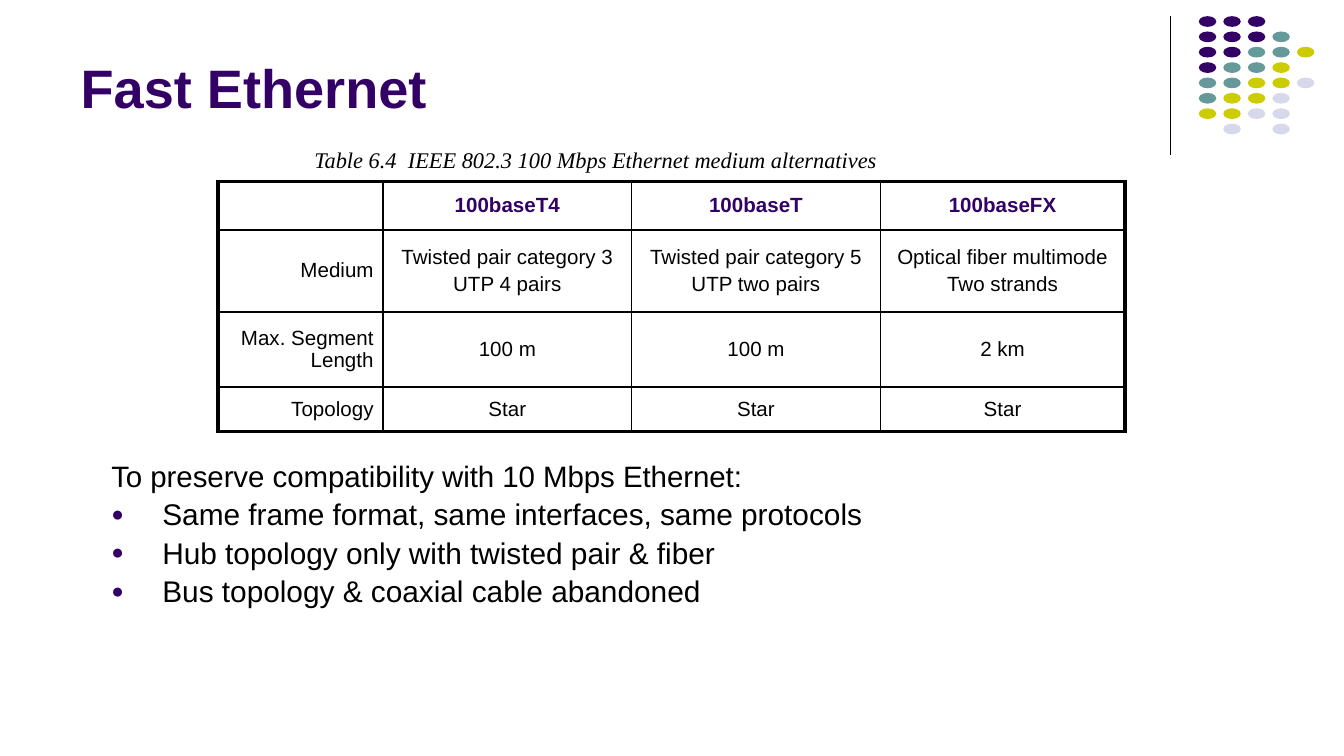
from dataclasses import dataclass

from lxml.etree import SubElement
from pptx import Presentation
from pptx.dml.color import RGBColor as Color
from pptx.enum.shapes import MSO_CONNECTOR as Connector, MSO_SHAPE as Shape
from pptx.enum.text import MSO_ANCHOR as Anchor, PP_ALIGN as Align
from pptx.oxml import parse_xml
from pptx.oxml.ns import nsdecls, qn
from pptx.util import Inches, Pt


@dataclass(frozen=True)
class Theme:
    purple: str = "330066"
    teal: str = "669999"
    olive: str = "CCCC00"
    lavender: str = "D8D8EC"
    black: str = "000000"
    sans: str = "Arial"
    serif: str = "Times New Roman"
    title: float = 29
    caption: float = 12
    cell: float = 11
    lead: float = 15.75
    body: float = 16
    outer_border: float = 2.25
    inner_border: float = 1


theme = Theme()


def style(paragraph, size, color=theme.black, name=theme.sans, bold=False, italic=False):
    font = paragraph.font
    font.size, font.name, font.bold, font.italic = Pt(size), name, bold, italic
    font.color.rgb = Color.from_string(color)


def border(side, width):
    return parse_xml(
        f'<a:{side} {nsdecls("a")} w="{Pt(width)}"><a:solidFill>'
        f'<a:srgbClr val="{theme.black}"/></a:solidFill></a:{side}>'
    )


deck = Presentation()
deck.slide_width = Inches(10)
deck.slide_height = deck.slide_width * 9 // 16
page = deck.slides.add_slide(deck.slide_layouts[5])

rule = page.shapes.add_connector(
    Connector.STRAIGHT, Inches(8.71), Inches(0.12), Inches(8.71), Inches(1.15)
)
rule.line.color.rgb = Color.from_string(theme.black)
rule.line.width = Pt(0.75)
SubElement(rule._element.spPr, qn("a:effectLst"))

dot_colors = {"P": theme.purple, "T": theme.teal, "Y": theme.olive, "L": theme.lavender}
dot_rows = ["PPP", "PPPT", "PPTTY", "PTTY", "TTYYL", "TYYL", "YYLL", " L L"]
column_step, row_step = (9.65 - 8.92) / 4, (0.92 - 0.12) / 7
dots = page.shapes.add_group_shape()
for row, codes in enumerate(dot_rows):
    for column, code in enumerate(codes):
        if code in dot_colors:
            dot = dots.shapes.add_shape(
                Shape.OVAL,
                Inches(8.92 + column * column_step), Inches(0.12 + row * row_step),
                Inches(0.13), Inches(0.08),
            )
            dot.shadow.inherit = False
            dot.fill.solid()
            dot.fill.fore_color.rgb = Color.from_string(dot_colors[code])
            dot.line.fill.background()

title = page.shapes.title
title.left, title.top, title.width, title.height = map(Inches, (0.5, 0.1, 8.25, 0.84))
title.text_frame.text = "Fast Ethernet"
title.text_frame.vertical_anchor = Anchor.BOTTOM
heading = title.text_frame.paragraphs[0]
heading.alignment = Align.LEFT
style(heading, theme.title, theme.purple, bold=True)

media = [
    ["", "100baseT4", "100baseT", "100baseFX"],
    ["Medium", "Twisted pair category 3\nUTP 4 pairs",
     "Twisted pair category 5\nUTP two pairs", "Optical fiber multimode\nTwo strands"],
    ["Max. Segment Length", "100 m", "100 m", "2 km"],
    ["Topology", "Star", "Star", "Star"],
]
column_widths, row_heights = [1.23, 1.85, 1.85, 1.82], [0.36, 0.61, 0.56, 0.33]
table = page.shapes.add_table(
    len(media), len(media[0]), Inches(1.62), Inches(1.35),
    Inches(sum(column_widths)), Inches(sum(row_heights)),
).table
for column, width in zip(table.columns, column_widths):
    column.width = Inches(width)
for row, height in zip(table.rows, row_heights):
    row.height = Inches(height)

last_row, last_column = len(media) - 1, len(media[0]) - 1
for row, texts in enumerate(media):
    for column, text in enumerate(texts):
        cell = table.cell(row, column)
        cell.text = text
        cell.fill.background()
        cell.vertical_anchor = Anchor.MIDDLE
        cell.margin_left = cell.margin_right = Inches(0.07)
        cell.margin_top = cell.margin_bottom = Inches(0.04)
        for index, para in enumerate(cell.text_frame.paragraphs):
            para.alignment = Align.CENTER if column else Align.RIGHT
            para.space_before = Pt(2.2 if index else 0)
            style(para, theme.cell, theme.black if row else theme.purple, bold=row == 0)
        edges = {
            "lnL": column == 0, "lnR": column == last_column,
            "lnT": row == 0, "lnB": row == last_row,
        }
        for index, (side, outer) in enumerate(edges.items()):
            width = theme.outer_border if outer else theme.inner_border
            cell._tc.tcPr.insert(index, border(side, width))

caption = page.shapes.add_textbox(Inches(2.24), Inches(1.04), Inches(4.44), Inches(0.3))
caption.text_frame.word_wrap = False
caption.text_frame.vertical_anchor = Anchor.MIDDLE
caption.text_frame.text = "Table 6.4  IEEE 802.3 100 Mbps Ethernet medium alternatives"
style(caption.text_frame.paragraphs[0], theme.caption, name=theme.serif, italic=True)

body = page.shapes.add_textbox(Inches(0.73), Inches(3.39), Inches(7.88), Inches(1.22))
body.text_frame.word_wrap = True
body.text_frame.text = "\n".join([
    "To preserve compatibility with 10 Mbps Ethernet:",
    "Same frame format, same interfaces, same protocols",
    "Hub topology only with twisted pair & fiber",
    "Bus topology & coaxial cable abandoned",
])
for index, para in enumerate(body.text_frame.paragraphs):
    para.line_spacing = 0.9
    para.space_before = Pt(3.3 if index else 0)
    if index:
        properties = para._p.get_or_add_pPr()
        properties.set("marL", str(Inches(0.38)))
        properties.set("indent", str(-Inches(0.38)))
        bullet_color = SubElement(properties, qn("a:buClr"))
        SubElement(bullet_color, qn("a:srgbClr"), val=theme.purple)
        SubElement(properties, qn("a:buSzPct"), val="70000")
        SubElement(properties, qn("a:buFont"), typeface=theme.sans)
        SubElement(properties, qn("a:buChar"), char="●")
    style(para, theme.body if index else theme.lead)

deck.save("out.pptx")
